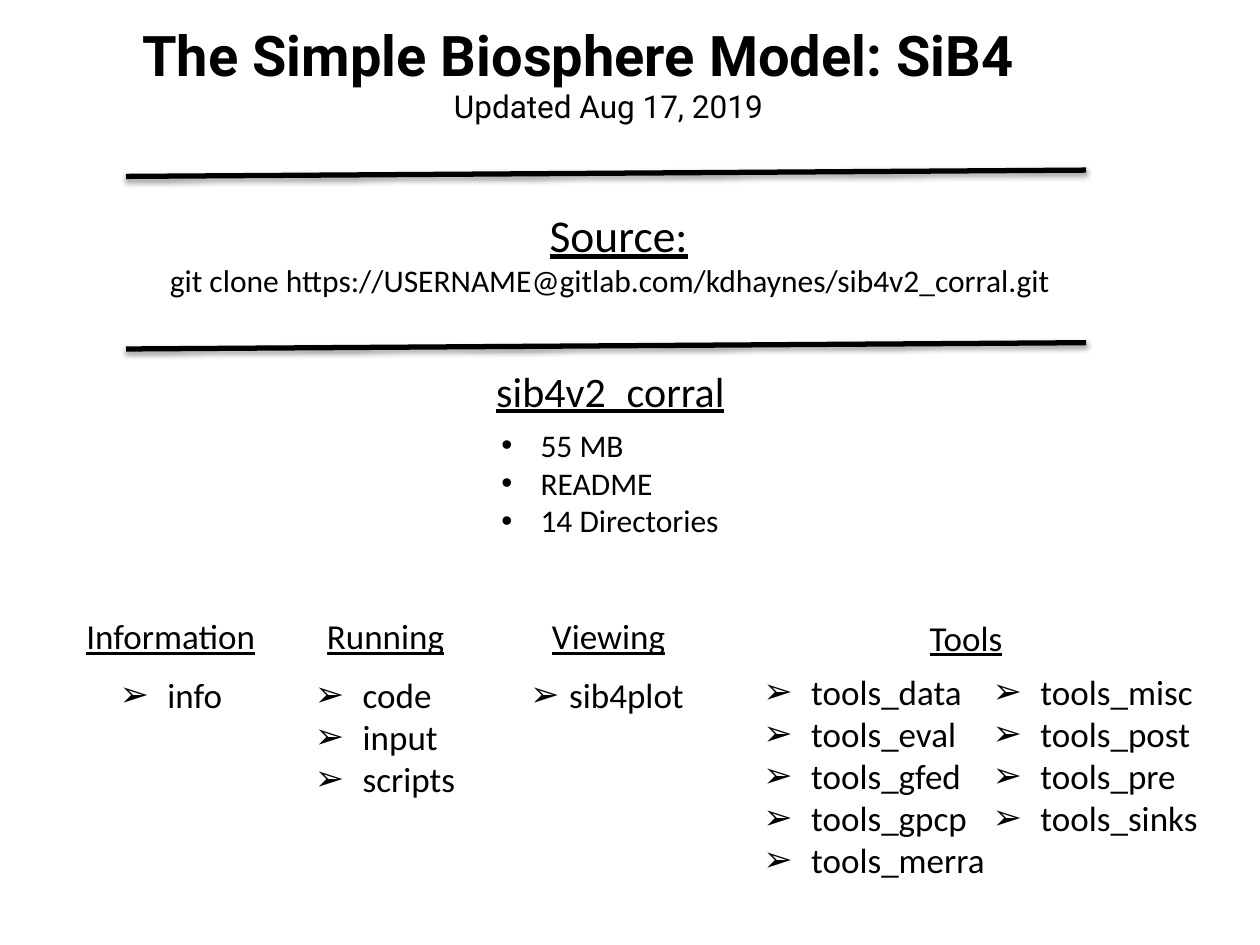
from pptx import Presentation
from pptx.dml.color import RGBColor
from pptx.enum.shapes import MSO_CONNECTOR
from pptx.enum.text import MSO_ANCHOR, MSO_AUTO_SIZE, PP_ALIGN
from pptx.oxml import parse_xml
from pptx.oxml.ns import nsdecls
from pptx.util import Inches, Pt

COLORS = {"ink": "000000"}
BODY_FONT, TITLE_FONT = "Calibri", "Roboto"
DOT, ARROW = "•", "➢"

RULE_SHADOW = (
    f'<a:effectLst {nsdecls("a")}>'
    '<a:outerShdw blurRad="40000" dist="20000" dir="5400000" rotWithShape="0">'
    f'<a:srgbClr val="{COLORS["ink"]}"><a:alpha val="38000"/></a:srgbClr>'
    '</a:outerShdw></a:effectLst>'
)


class Page:
    def __init__(self, slide):
        self.slide = slide

    def place(self, shape, left, top, width, height):
        shape.left, shape.top = Inches(left), Inches(top)
        shape.width, shape.height = Inches(width), Inches(height)
        return shape.text_frame

    def style(self, para, size, font=BODY_FONT, bold=False, underline=False,
              align=PP_ALIGN.LEFT, before=0):
        para.alignment = align
        para.space_before = Pt(before)
        for span in para.runs:
            span.font.name = font
            span.font.size = Pt(size)
            span.font.bold = bold
            span.font.underline = underline
            span.font.color.rgb = RGBColor.from_string(COLORS["ink"])

    def bullet(self, para, mark, margin, hang):
        props = para._p.get_or_add_pPr()
        props.set("marL", str(Inches(margin)))
        props.set("indent", str(-Inches(hang)))
        props.append(parse_xml(f'<a:buFont {nsdecls("a")} typeface="Arial"/>'))
        props.append(parse_xml(f'<a:buChar {nsdecls("a")} char="{mark}"/>'))

    def title(self, heading, date, *bounds):
        frame = self.place(self.slide.shapes.title, *bounds)
        frame.text = f"{heading}\n{date}"
        frame.vertical_anchor = MSO_ANCHOR.TOP
        frame.auto_size = MSO_AUTO_SIZE.NONE
        self.style(frame.paragraphs[0], 32, TITLE_FONT, bold=True)
        self.style(frame.paragraphs[1], 18, TITLE_FONT, align=PP_ALIGN.CENTER)

    def facts(self, items, *bounds):
        frame = self.place(self.slide.placeholders[1], *bounds)
        frame.text = "\n".join(items)
        frame.auto_size = MSO_AUTO_SIZE.NONE
        for para in frame.paragraphs:
            self.bullet(para, DOT, 0.31, 0.31)
            self.style(para, 18)

    def text_box(self, lines, left, top, width, height):
        box = self.slide.shapes.add_textbox(
            Inches(left), Inches(top), Inches(width), Inches(height))
        frame = box.text_frame
        frame.text = "\n".join(lines)
        frame.word_wrap = False
        frame.auto_size = MSO_AUTO_SIZE.SHAPE_TO_FIT_TEXT
        return frame.paragraphs

    def heading(self, text, size, *bounds):
        para, = self.text_box([text], *bounds)
        self.style(para, size, underline=True)

    def command(self, label, command, *bounds):
        head, line = self.text_box([label, command], *bounds)
        self.style(head, 26, underline=True, align=PP_ALIGN.CENTER)
        self.style(line, 18)

    def directories(self, items, *bounds, heading=None, margin=0.38, hang=0.38):
        paras = self.text_box([heading, *items] if heading else items, *bounds)
        gap = 0
        if heading:
            self.style(paras[0], 20, underline=True, align=PP_ALIGN.CENTER)
            paras, gap = paras[1:], 9.75
        for index, para in enumerate(paras):
            self.bullet(para, ARROW, margin, hang)
            self.style(para, 20, before=0 if index else gap)

    def rule(self, top):
        line = self.slide.shapes.add_connector(
            MSO_CONNECTOR.STRAIGHT,
            Inches(1), Inches(top + 0.05), Inches(8.62), Inches(top))
        line.line.color.rgb = RGBColor.from_string(COLORS["ink"])
        line.line.width = Pt(3)
        line._element.spPr.append(parse_xml(RULE_SHADOW))


def main():
    deck = Presentation()
    deck.slide_width, deck.slide_height = Inches(10), Inches(7.5)
    page = Page(deck.slides.add_slide(deck.slide_layouts[1]))

    page.title("The Simple Biosphere Model: SiB4", "Updated Aug 17, 2019",
               1.03, 0.11, 7.6, 0.94)
    for top in (1.35, 2.72):
        page.rule(top)
    page.command(
        "Source:",
        "git clone https://USERNAME@gitlab.com/kdhaynes/sib4v2_corral.git",
        1.25, 1.59, 7.32, 0.84)
    page.heading("sib4v2_corral", 24, 3.84, 2.85, 2.03, 0.5)
    page.facts(["55 MB", "README", "14 Directories"], 3.88, 3.33, 1.95, 1.01)

    page.directories(["info"], 0.58, 4.83, 1.55, 0.91,
                     heading="Information", margin=0.65)
    page.directories(["code", "input", "scripts"], 2.4, 4.83, 1.32, 1.58,
                     heading="Running")
    page.directories(["sib4plot"], 4.11, 4.83, 1.44, 0.91,
                     heading="Viewing", margin=0.31, hang=0.31)

    page.heading("Tools", 20, 7.28, 4.84, 0.78, 0.44)
    page.directories(
        ["tools_data", "tools_eval", "tools_gfed", "tools_gpcp", "tools_merra"],
        5.96, 5.27, 1.97, 1.78)
    page.directories(["tools_misc", "tools_post", "tools_pre", "tools_sinks"],
                     7.78, 5.27, 1.84, 1.45)

    deck.save("out.pptx")


if __name__ == "__main__":
    main()
